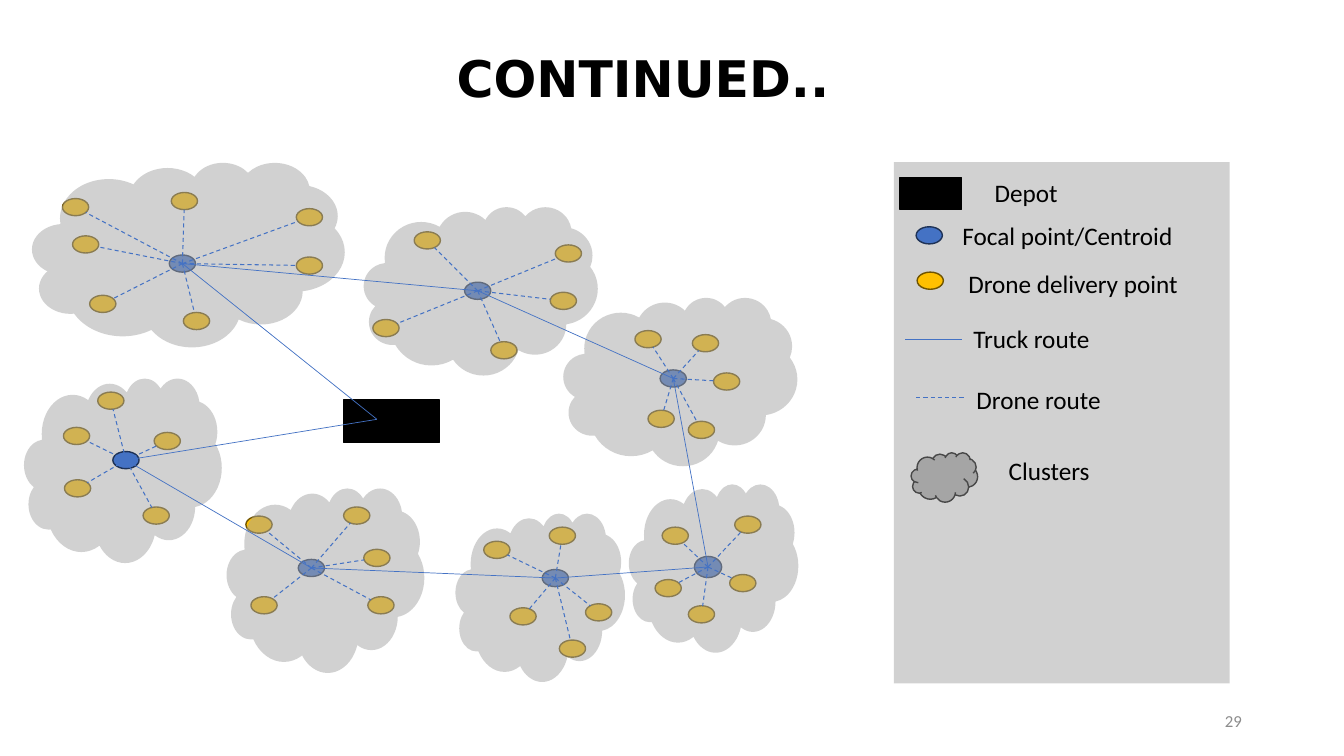
from itertools import pairwise
from math import hypot

from lxml.etree import SubElement
from pptx import Presentation
from pptx.dml.color import RGBColor
from pptx.enum.dml import MSO_LINE
from pptx.enum.shapes import MSO_CONNECTOR, MSO_SHAPE as Shape
from pptx.enum.text import MSO_ANCHOR as Anchor, PP_ALIGN as Align
from pptx.oxml.ns import qn
from pptx.util import Cm, Pt

COLORS = {
    "black": "000000", "grey": "A5A5A5", "dark grey": "484848", "number": "8C8C8C",
    "blue": "4472C4", "dark blue": "1E3256", "gold": "FFC000", "dark gold": "705400",
}
CM_PER_INCH = 2.54
TITLE = "CONTINUED.."
SLIDE_NUMBER = "29"

# Places and sizes are in inches; places are left, top.
POINT = (0.26, 0.17)
BIG_POINT = (0.27, 0.21)
LONG, WIDE, TALL, SMALL = (3.1, 1.83), (2.32, 1.67), (1.96, 1.83), (1.68, 1.67)
DEPOT = (3.41, 3.97, 0.95, 0.42)
DEPOT_GATE = (3.74, 4.16)

# In truck order: cloud place and size, focal place and size, delivery points
CLUSTERS = [
    ((0.32, 1.61), LONG, (1.68, 2.53), POINT,
     [(1.7, 1.91), (0.62, 1.97), (2.94, 2.07), (0.72, 2.34), (0.89, 2.93),
      (1.82, 3.1), (2.94, 2.55)]),
    ((3.61, 2.05), WIDE, (4.61, 2.8), POINT,
     [(4.11, 2.3), (5.51, 2.43), (5.46, 2.9), (4.87, 3.39), (3.7, 3.17)]),
    ((5.59, 2.95), WIDE, (6.55, 3.67), POINT,
     [(6.3, 3.28), (6.87, 3.32), (7.08, 3.7), (6.83, 4.18), (6.43, 4.07)]),
    ((6.24, 4.8), SMALL, (6.89, 5.52), BIG_POINT,
     [(7.29, 5.12), (7.24, 5.7), (6.83, 6.01), (6.5, 5.75), (6.57, 5.23)]),
    ((4.52, 5.09), SMALL, (5.38, 5.65), POINT,
     [(5.45, 5.23), (5.81, 5.99), (5.55, 6.35), (5.06, 6.03), (4.8, 5.37)]),
    ((2.25, 4.84), TALL, (2.96, 5.55), POINT,
     [(3.41, 5.03), (3.61, 5.45), (3.65, 5.92), (2.49, 5.92), (2.44, 5.12)]),
    ((0.24, 3.75), TALL, (1.12, 4.48), POINT,
     [(0.97, 3.89), (1.53, 4.29), (1.42, 5.03), (0.64, 4.76), (0.63, 4.24)]),
]
LEGEND_PANEL = (8.87, 1.61, 3.33, 5.17)
LABEL_SIZE = (2.6, 0.4)
LEGEND_LABELS = [
    ("Depot", (9.77, 1.71)), ("Focal point/Centroid", (9.45, 2.14)),
    ("Drone delivery point", (9.51, 2.61)), ("Truck route", (9.56, 3.16)),
    ("Drone route", (9.59, 3.76)), ("Clusters", (9.91, 4.47)),
]

presentation = Presentation()
presentation.slide_width, presentation.slide_height = Cm(33.87), Cm(19.05)
slide = presentation.slides.add_slide(presentation.slide_layouts[5])


def lengths(inches):
    return [Cm(value * CM_PER_INCH) for value in inches]


def center(place, size):
    return tuple(start + extent / 2 for start, extent in zip(place, size))


def add_shape(kind, box, fill, line=None, opacity=None):
    shape = slide.shapes.add_shape(kind, *lengths(box))
    shape.shadow.inherit = False
    shape.fill.solid()
    shape.fill.fore_color.rgb = RGBColor.from_string(COLORS[fill])
    if opacity:
        color = shape.fill._xPr.find(qn("a:solidFill"))[0]
        SubElement(color, qn("a:alpha"), val=str(opacity * 1000))
    if line:
        shape.line.color.rgb = RGBColor.from_string(COLORS[line])
        shape.line.width = Pt(1)
    else:
        shape.line.fill.background()


def add_depot(box):
    add_shape(Shape.RECTANGLE, box, "black", "black")


def add_focal(place, size):
    add_shape(Shape.OVAL, place + size, "blue", "dark blue")


def add_delivery_point(place):
    add_shape(Shape.OVAL, place + POINT, "gold", "dark gold")


def add_route(start, end, drone=False):
    route = slide.shapes.add_connector(MSO_CONNECTOR.STRAIGHT, *lengths(start + end))
    route.line.color.rgb = RGBColor.from_string(COLORS["blue"])
    route.line.width = Pt(0.75 if drone else 0.5)
    if drone:
        route.line.dash_style = MSO_LINE.DASH
    SubElement(route._element.spPr, qn("a:effectLst"))


def add_drone_route(focal, place):
    """Run from the focal centre to the near edge of a delivery point."""
    x, y = center(place, POINT)
    across, down = x - focal[0], y - focal[1]
    width, height = POINT
    share = 0.5 / hypot(across / width, down / height)
    add_route(focal, (x - across * share, y - down * share), drone=True)


def write(shape, text, size, color="black", font="Calibri", bold=False,
          align=Align.LEFT, anchor=Anchor.TOP):
    frame = shape.text_frame
    frame.word_wrap = True
    frame.vertical_anchor = anchor
    paragraph = frame.paragraphs[0]
    paragraph.alignment = align
    run = paragraph.add_run()
    run.text = text
    run.font.size, run.font.name, run.font.bold = Pt(size), font, bold
    run.font.color.rgb = RGBColor.from_string(COLORS[color])


title = slide.shapes.title
title.left, title.top, title.width, title.height = lengths((1.14, 0.42, 10.48, 0.71))
write(title, TITLE, 36, font="DejaVu Sans", bold=True, align=Align.CENTER)
number = slide.shapes.add_textbox(*lengths((9.42, 6.95, 3, 0.4)))
write(number, SLIDE_NUMBER, 12, "number", align=Align.RIGHT, anchor=Anchor.MIDDLE)

# Translucent clouds cover the points, except the focal point of the last cluster.
add_depot(DEPOT)
for cluster in CLUSTERS:
    _, _, focal, focal_size, points = cluster
    for point in points:
        add_delivery_point(point)
    if cluster is not CLUSTERS[-1]:
        add_focal(focal, focal_size)
for cloud, cloud_size, focal, focal_size, _ in CLUSTERS:
    add_shape(Shape.CLOUD, cloud + cloud_size, "grey", opacity=50)
add_focal(focal, focal_size)

focal_centers = [center(focal, size) for _, _, focal, size, _ in CLUSTERS]
for start, end in pairwise([DEPOT_GATE, *focal_centers, DEPOT_GATE]):
    add_route(start, end)
for focal_center, (*_, points) in zip(focal_centers, CLUSTERS):
    for point in points:
        add_drone_route(focal_center, point)

add_shape(Shape.RECTANGLE, LEGEND_PANEL, "grey", opacity=50)
add_depot((8.93, 1.76, 0.61, 0.32))
add_focal((9.09, 2.25), POINT)
add_delivery_point((9.1, 2.7))
add_route((8.98, 3.37), (9.54, 3.37))
add_route((9.09, 3.94), (9.59, 3.94), drone=True)
add_shape(Shape.CLOUD, (9.04, 4.49, 0.66, 0.49), "grey", "dark grey")
for label, place in LEGEND_LABELS:
    write(slide.shapes.add_textbox(*lengths(place + LABEL_SIZE)), label, 18)

presentation.save("out.pptx")
